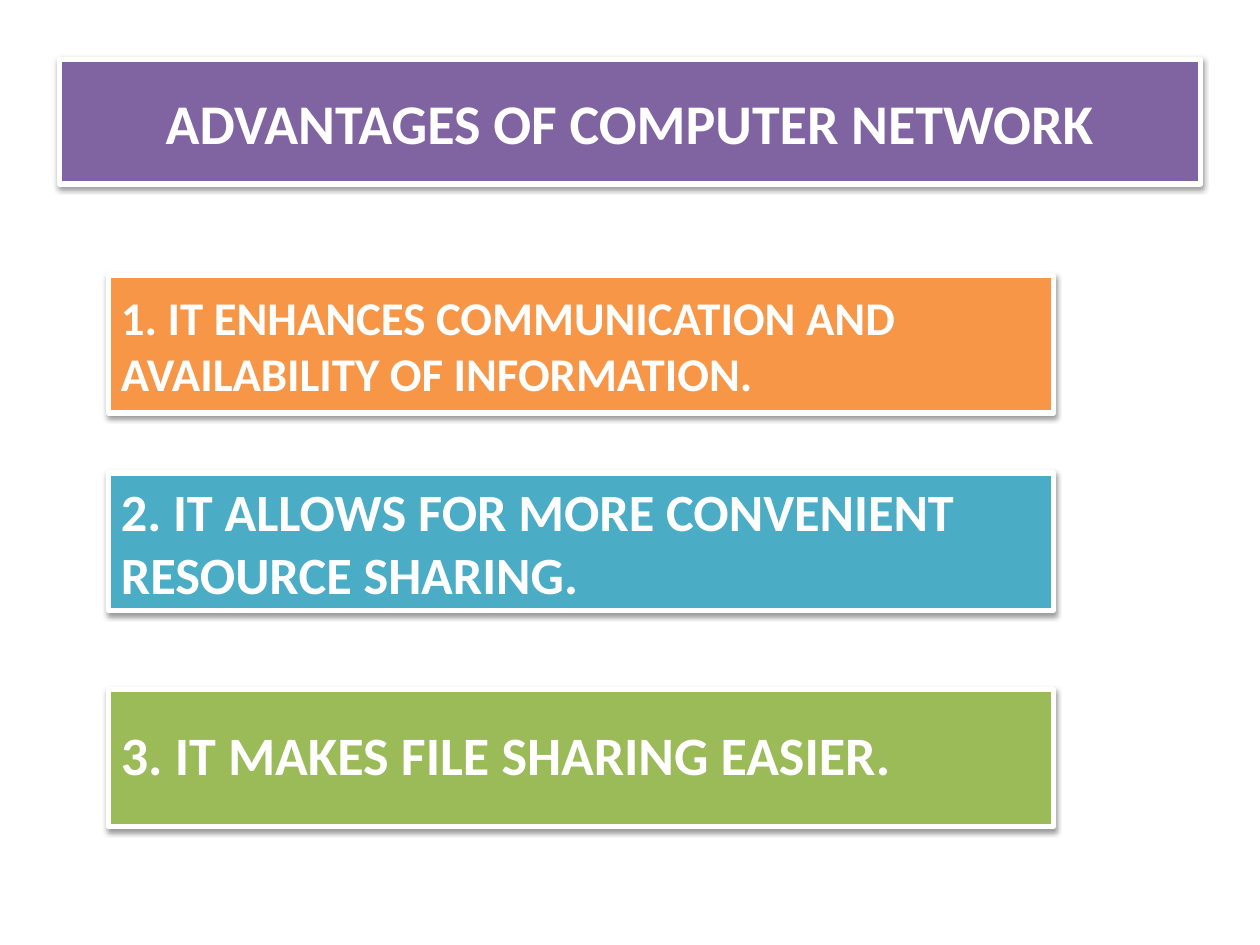
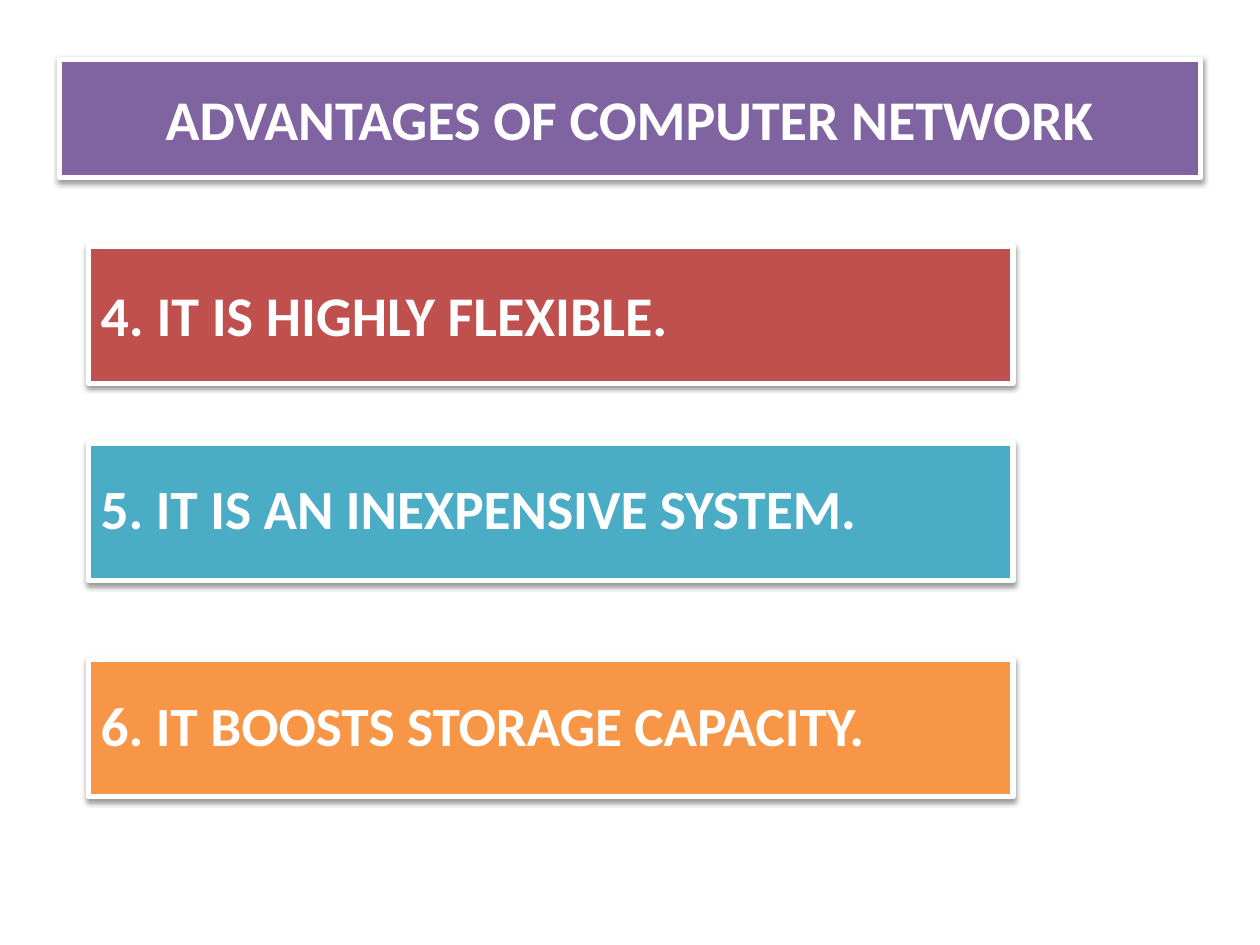
from dataclasses import dataclass

from lxml.etree import SubElement
from pptx import Presentation
from pptx.dml.color import RGBColor
from pptx.enum.shapes import MSO_SHAPE
from pptx.enum.text import MSO_ANCHOR, PP_ALIGN
from pptx.oxml.ns import qn
from pptx.shapes.autoshape import Shape
from pptx.slide import Slide
from pptx.util import Pt

WHITE = RGBColor(0xFF, 0xFF, 0xFF)
PURPLE = RGBColor(0x80, 0x64, 0xA2)
ORANGE = RGBColor(0xF7, 0x96, 0x46)
TEAL = RGBColor(0x4B, 0xAC, 0xC6)
GREEN = RGBColor(0x9B, 0xBB, 0x59)
RED = RGBColor(0xC0, 0x50, 0x4D)

FONT = "Calibri"
TITLE = "ADVANTAGES OF COMPUTER NETWORK"
TITLE_LEFT, TITLE_TOP, TITLE_WIDTH = 33.84, 33.84, 652.32
CARD_HEIGHT = 78.5
CARD_OFFSETS = (0, 112.7, 236.3)


@dataclass(frozen=True)
class Advantage:
    text: str
    color: RGBColor
    size: float
    line_spacing: float = 1.0


@dataclass(frozen=True)
class AdvantagePage:
    title_height: float
    left: float
    top: float
    width: float
    advantages: tuple[Advantage, ...]


PAGES = (
    AdvantagePage(71.3, 62, 157.6, 540, (
        Advantage("1. IT ENHANCES COMMUNICATION AND AVAILABILITY OF INFORMATION.", ORANGE, 26.8),
        Advantage("2. IT ALLOWS FOR MORE CONVENIENT RESOURCE SHARING.", TEAL, 29.9),
        Advantage("3. IT MAKES FILE SHARING EASIER.", GREEN, 30.9, 0.9),
    )),
    AdvantagePage(67.5, 50.4, 140.5, 528.5, (
        Advantage("4. IT IS HIGHLY FLEXIBLE.", RED, 32),
        Advantage("5. IT IS AN INEXPENSIVE SYSTEM.", TEAL, 31.6, 0.9),
        Advantage("6. IT BOOSTS STORAGE CAPACITY.", ORANGE, 31.6, 0.9),
    )),
)


def add_soft_shadow(box: Shape) -> None:
    """Cast a faint black shadow straight down."""
    box.shadow.inherit = False
    effects = box.element.spPr.find(qn("a:effectLst"))
    shadow = SubElement(effects, qn("a:outerShdw"), blurRad=str(Pt(3.1)),
                        dist=str(Pt(1.6)), dir="5400000", rotWithShape="0")
    color = SubElement(shadow, qn("a:srgbClr"), val="000000")
    SubElement(color, qn("a:alpha"), val="38000")


def add_banner(page: Slide, left: float, top: float, width: float, height: float,
               content: Advantage, alignment: PP_ALIGN = PP_ALIGN.LEFT) -> None:
    box = page.shapes.add_shape(MSO_SHAPE.RECTANGLE, Pt(left), Pt(top), Pt(width), Pt(height))
    box.fill.solid()
    box.fill.fore_color.rgb = content.color
    box.line.color.rgb = WHITE
    box.line.width = Pt(3)
    add_soft_shadow(box)

    frame = box.text_frame
    frame.word_wrap = True
    frame.vertical_anchor = MSO_ANCHOR.MIDDLE
    para = frame.paragraphs[0]
    para.alignment = alignment
    para.line_spacing = content.line_spacing
    span = para.add_run()
    span.text = content.text
    span.font.name = FONT
    span.font.size = Pt(content.size)
    span.font.bold = True
    span.font.color.rgb = WHITE


def add_advantage_page(deck: Presentation, layout: AdvantagePage) -> None:
    page = deck.slides.add_slide(deck.slide_layouts[6])
    add_banner(page, TITLE_LEFT, TITLE_TOP, TITLE_WIDTH, layout.title_height,
               Advantage(TITLE, PURPLE, 32), PP_ALIGN.CENTER)
    for offset, advantage in zip(CARD_OFFSETS, layout.advantages):
        add_banner(page, layout.left, layout.top + offset, layout.width, CARD_HEIGHT, advantage)


def main() -> None:
    deck = Presentation()
    deck.slide_width, deck.slide_height = Pt(720), Pt(540)
    for layout in PAGES:
        add_advantage_page(deck, layout)
    deck.save("out.pptx")


if __name__ == "__main__":
    main()
